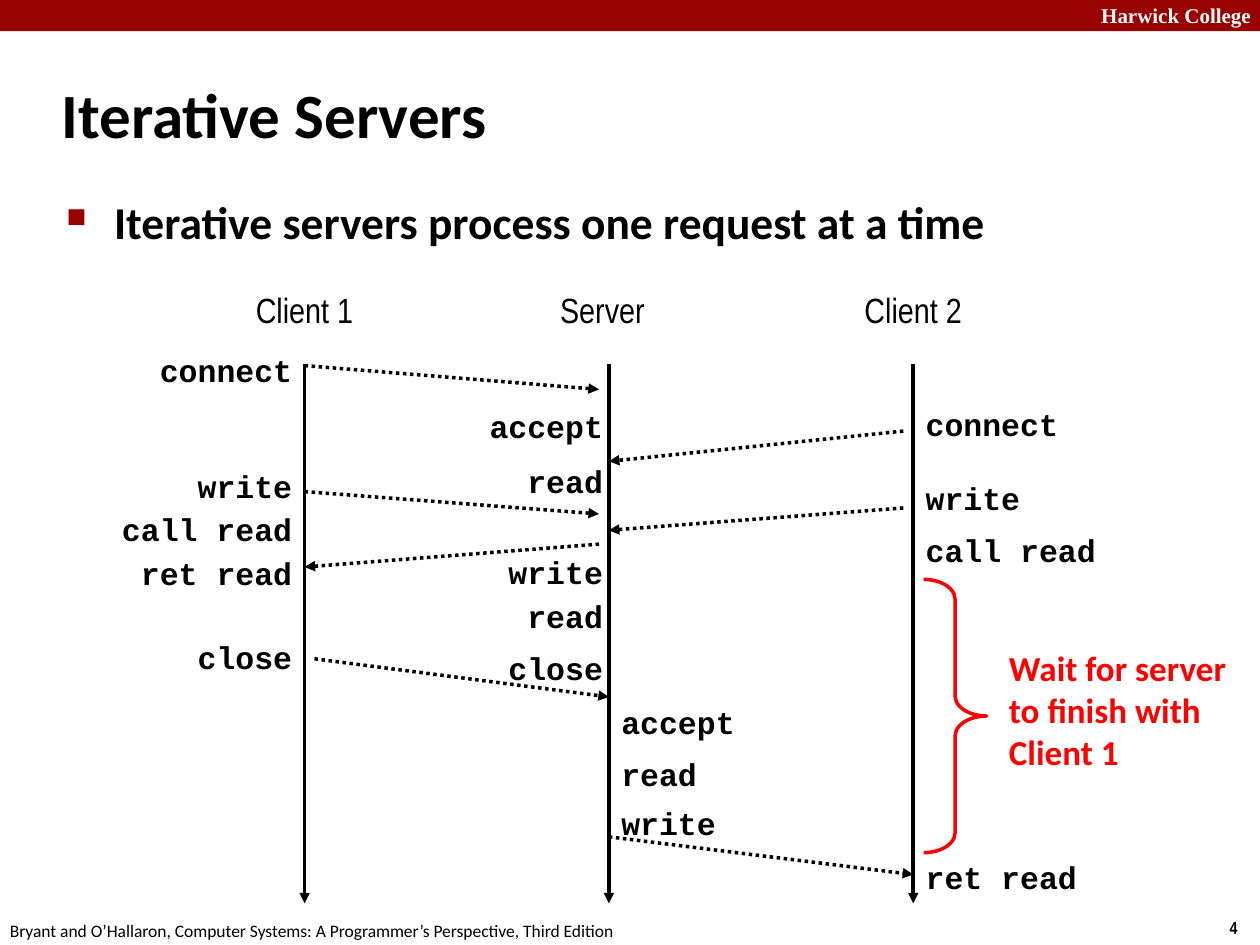
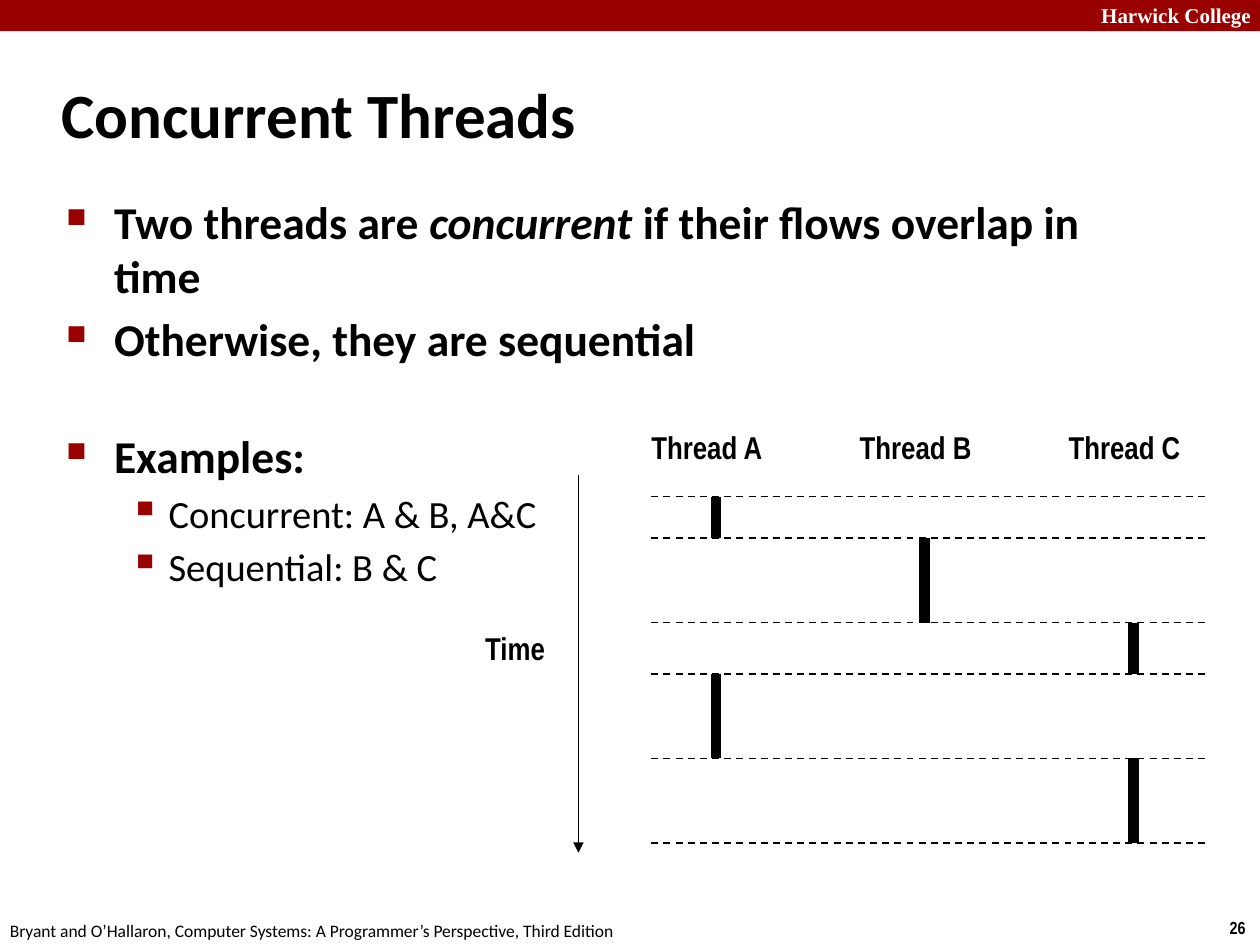
from lxml import etree
from pptx import Presentation
from pptx.dml.color import RGBColor
from pptx.enum import dml, shapes, text
from pptx.oxml import ns
from pptx.util import Cm, Pt

RED = RGBColor(0x99, 0x00, 0x00)
ALERT = RGBColor(0xFF, 0x00, 0x00)
BLACK = RGBColor(0x00, 0x00, 0x00)
WHITE = RGBColor(0xFF, 0xFF, 0xFF)
BODY, NARROW, CODE, SERIF = "Calibri", "Arial Narrow", "Courier New", "Times New Roman"
LEFT, MID, RIGHT = text.PP_ALIGN.LEFT, text.PP_ALIGN.CENTER, text.PP_ALIGN.RIGHT
DOT, DASH = dml.MSO_LINE.ROUND_DOT, dml.MSO_LINE.DASH
CREDIT = "Bryant and O’Hallaron, Computer Systems: A Programmer’s Perspective, Third Edition"


def sub(parent, tag, **attrs):
    """Add one drawing element to a parent."""
    return etree.SubElement(parent, ns.qn(tag), **attrs)


def write(para, words, face, size, bold=False, color=BLACK, slant=False):
    """Add one styled run to a paragraph."""
    run = para.add_run()
    run.text = words
    font = run.font
    font.name, font.size, font.bold = face, Pt(size), bold
    font.color.rgb = color
    if slant:
        font.italic = True


def frame(slide, box, wrap=True):
    """Add an empty text box and return its text frame."""
    tf = slide.shapes.add_textbox(*map(Cm, box)).text_frame
    tf.word_wrap = wrap
    return tf


def label(slide, box, words, face, size, bold=False, color=BLACK, align=LEFT, wrap=False):
    """Add a text box that holds a single run."""
    tf = frame(slide, box, wrap)
    tf.paragraphs[0].alignment = align
    write(tf.paragraphs[0], words, face, size, bold, color)
    return tf


def line(slide, start, end, width, dash=None, arrow=False):
    """Draw a straight black line, with an arrowhead if asked."""
    link = slide.shapes.add_connector(
        shapes.MSO_CONNECTOR.STRAIGHT, *map(Cm, start), *map(Cm, end))
    link.line.color.rgb = BLACK
    link.line.width = Pt(width)
    if dash:
        link.line.dash_style = dash
    if arrow:
        sub(link.line._get_or_add_ln(), "a:tailEnd", type="triangle")
    sub(link._element.spPr, "a:effectLst")


def base(deck, title, number):
    """Add a slide with its band, footer and title."""
    slide = deck.slides.add_slide(deck.slide_layouts[6])
    band = slide.shapes.add_shape(
        shapes.MSO_SHAPE.RECTANGLE, 0, 0, deck.slide_width, Cm(0.63))
    band.shadow.inherit = False
    band.fill.solid()
    band.fill.fore_color.rgb = RED
    band.line.fill.background()
    label(slide, (21.95, -0.08, 3.63, 0.77), "Harwick College", SERIF, 12, True, WHITE)
    label(slide, (24.54, 18.36, 0.86, 0.68), number, NARROW, 10, True)
    label(slide, (-0.05, 18.42, 12.9, 0.68), CREDIT, BODY, 10)
    head = label(slide, (0.99, 1.22, 21.08, 2.11), title, BODY, 36, True, wrap=True)
    head.vertical_anchor = text.MSO_ANCHOR.MIDDLE
    return slide


def points(slide, box, items):
    """Fill a box with bullets given as level, space before and runs."""
    tf = frame(slide, box)
    for i, (level, gap, runs) in enumerate(items):
        para = tf.add_paragraph() if i else tf.paragraphs[0]
        para.level = level
        para.space_before = Pt(gap)
        for words, slant in runs:
            write(para, words, BODY, 22 if level else 26, not level, slant=slant)
        edge, hang, mark, scale = ((2.06, 0.79, "▪", "110000") if level
                                   else (0.96, 0.96, "■", "60000"))
        props = para._p.get_or_add_pPr()
        props.set("marL", str(Cm(edge)))
        props.set("indent", str(-Cm(hang)))
        sub(sub(props, "a:buClr"), "a:srgbClr", val=str(RED))
        sub(props, "a:buSzPct", val=scale)
        sub(props, "a:buChar", char=mark)


def calls(slide, edge, top, align, steps):
    """Stack code labels against a vertical edge."""
    for words, drop in steps:
        wide = 0.38 * len(words) + 0.52
        left = edge - wide if align == RIGHT else edge
        label(slide, (left, top + drop, wide, 1.02), words, CODE, 18, True, align=align)


def wait(slide, box):
    """Draw the red brace and its remark."""
    x, y, w, h = box
    brace = slide.shapes.add_shape(
        shapes.MSO_SHAPE.RIGHT_BRACE, Cm(x), Cm(y), Cm(1.27), Cm(h))
    brace.shadow.inherit = False
    brace.adjustments[0] = 0.317
    brace.fill.background()
    brace.line.color.rgb = ALERT
    brace.line.width = Pt(2)
    label(slide, (x + 1.47, y + 1.22, w - 1.47, 2.82),
          "Wait for server to finish with Client 1", BODY, 20, True, ALERT, wrap=True)


def sequence(slide, box):
    """Draw the two clients and the server as lifelines with messages."""
    x, y, w, h = box
    lanes = [x + w * k / 2 for k in range(3)]
    heads = (("Client 1", 0), ("Server", -0.13), ("Client 2", 0))
    for lane, (name, shift) in zip(lanes, heads):
        label(slide, (lane + shift - 1.25, y - 1.65, 2.5, 1.12), name, NARROW, 20, align=MID)
        line(slide, (lane, y), (lane, y + h), 2, arrow=True)
    one, hub, two = lanes
    calls(slide, one, y, RIGHT, (("connect", -0.38), ("write", 1.96), ("call read", 2.82),
                                 ("ret read", 3.71), ("close", 5.39)))
    calls(slide, hub + 0.13, y, RIGHT, (("accept", 0.74), ("read", 1.85), ("write", 3.68),
                                        ("read", 4.57), ("close", 5.61)))
    calls(slide, hub, y, LEFT, (("accept", 6.71), ("read", 7.75), ("write", 8.74)))
    calls(slide, two, y, LEFT, (("connect", 0.71), ("write", 2.19), ("call read", 3.25),
                                ("ret read", 9.83)))
    sends = ((one, 0.03, hub - 0.2, 0.51), (two - 0.2, 1.35, hub, 1.96),
             (one, 2.57, hub - 0.2, 3.02), (two - 0.2, 2.9, hub, 3.35),
             (hub - 0.2, 3.63, one, 4.09), (one + 0.2, 5.94, hub, 6.71),
             (hub, 9.53, two, 10.29))
    for a, b, c, d in sends:
        line(slide, (a, y + b), (c, y + d), 2, DOT, True)
    wait(slide, (two + 0.21, y + 4.34, 6.78, 5.51))


def threads(slide, box):
    """Draw the time axis and the running spans of three threads."""
    x, y, w, h = box
    line(slide, (x - 1.47, y - 0.43), (x - 1.47, y + h + 0.2), 1, arrow=True)
    label(slide, (x - 3.6, y + 2.54, 1.73, 1.02), "Time", NARROW, 18, True)
    lanes = {name: x + 1.3 + 4.21 * k for k, name in enumerate("ABC")}
    for name, lane in lanes.items():
        label(slide, (lane - 1.58, y - 1.5, 2.8, 1.02), "Thread " + name,
              NARROW, 18, True, align=MID)
    cuts = [y + d for d in (0, 0.84, 2.54, 3.58, 5.28, h)]
    for name, start, end in zip("ABCAC", cuts, cuts[1:]):
        line(slide, (lanes[name], start), (lanes[name], end), 6)
    for cut in cuts:
        line(slide, (x, cut), (x + w, cut), 1, DASH)


def main():
    """Build both slides and save the deck."""
    deck = Presentation()
    deck.slide_width, deck.slide_height = Cm(25.4), Cm(19.05)
    area = (1.09, 3.78, 21.95, 13.82)

    slide = base(deck, "Iterative Servers", "4")
    points(slide, area, [(0, 4.5, [("Iterative servers process one request at a time", False)])])
    sequence(slide, (6.14, 7.34, 12.27, 10.87))

    slide = base(deck, "Concurrent Threads", "26")
    points(slide, area, [
        (0, 4.5, [("Two threads are ", False), ("concurrent", True),
                  (" if their flows overlap in time", False)]),
        (0, 4.5, [("Otherwise, they are sequential", False)]),
        (0, 36, [("Examples:", False)]),
        (1, 4, [("Concurrent: A & B, A&C", False)]),
        (1, 4, [("Sequential: B & C", False)])])
    threads(slide, (13.13, 10.01, 11.23, 6.98))
    deck.save("out.pptx")


main()
